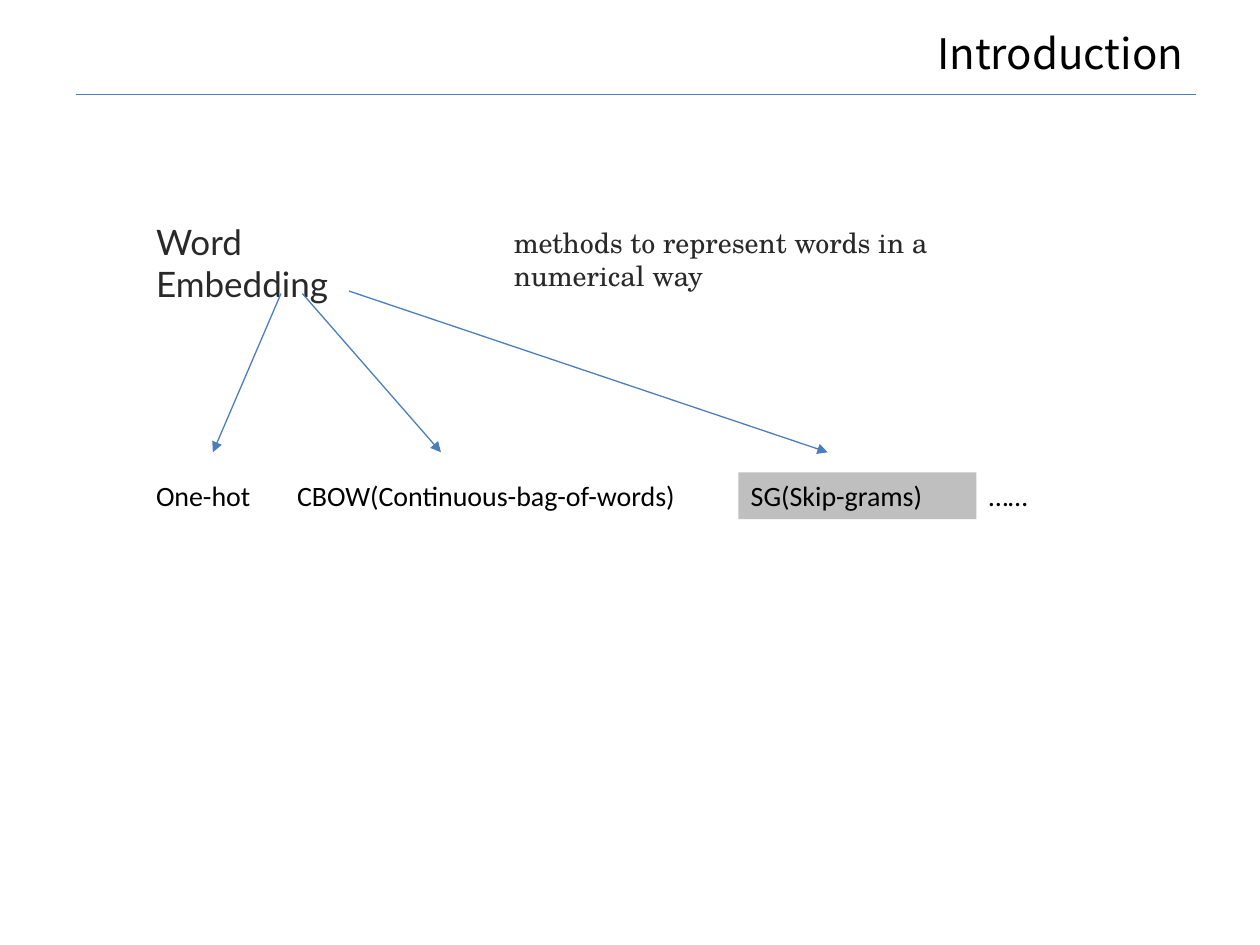
from dataclasses import dataclass
from lxml.etree import SubElement as Sub
from pptx import Presentation
from pptx.dml.color import RGBColor as Rgb
from pptx.enum.shapes import MSO_CONNECTOR as Link
from pptx.enum.text import MSO_ANCHOR as Anchor, MSO_AUTO_SIZE as Fit, PP_ALIGN as Align
from pptx.oxml.ns import qn
from pptx.util import Inches, Pt


@dataclass(frozen=True)
class Theme:
    ink: str = "000000"
    soft: str = "292929"
    blue: str = "4B7EBC"
    gray: str = "BFBFBF"
    head: int = 24
    lead: int = 20
    body: int = 16
    rule: float = 0.75


theme = Theme()
deck = Presentation()
deck.slide_width, deck.slide_height = Inches(10), Inches(7.5)
slide = deck.slides.add_slide(deck.slide_layouts[5])


def write(text, at, font="Calibri", size=theme.body, color=theme.ink,
          align=Align.LEFT, fill=None, shape=None):
    left, top, width, height = map(Inches, at)
    if shape is None:
        shape = slide.shapes.add_textbox(left, top, width, height)
    shape.left, shape.top, shape.width, shape.height = left, top, width, height
    if fill:
        shape.fill.solid()
        shape.fill.fore_color.rgb = Rgb.from_string(fill)
    frame = shape.text_frame
    frame.text = text
    frame.word_wrap = True
    frame.auto_size = Fit.SHAPE_TO_FIT_TEXT
    frame.vertical_anchor = Anchor.TOP
    para = frame.paragraphs[0]
    para.alignment = align
    face = para.runs[0].font
    face.name, face.size = font, Pt(size)
    face.color.rgb = Rgb.from_string(color)


def draw(start, end, arrow=True):
    line = slide.shapes.add_connector(Link.STRAIGHT, *map(Inches, start + end))
    line.line.color.rgb = Rgb.from_string(theme.blue)
    line.line.width = Pt(theme.rule)
    props = line.line._get_or_add_ln()
    if arrow:
        Sub(props, qn("a:tailEnd"), type="triangle")
    Sub(props.getparent(), qn("a:effectLst"))


draw((0.6, 0.75), (9.49, 0.75), arrow=False)
write("Introduction", (6.44, 0.17, 3.05, 0.5), font="Noto Sans CJK SC",
      size=theme.head, align=Align.RIGHT, shape=slide.shapes.title)
write("Word Embedding", (1.14, 1.7, 2.18, 0.44), font="Lato",
      size=theme.lead, color=theme.soft)
write("methods to represent words in a numerical way", (3.98, 1.74, 4.55, 0.37),
      font="TeX Gyre Schola", color=theme.soft)

methods = [
    ("One-hot", 1.14, 1.1, None),
    ("CBOW(Continuous-bag-of-words)", 2.26, 3.6, None),
    ("SG(Skip-grams)", 5.86, 1.89, theme.gray),
    ("……", 7.75, 1.89, None),
]
for name, left, width, fill in methods:
    write(name, (left, 3.75, width, 0.37), fill=fill)

for start, tip in [((2.23, 2.33), 1.69), ((2.4, 2.33), 3.5), ((2.77, 2.31), 6.57)]:
    draw(start, (tip, 3.59))

deck.save("out.pptx")
